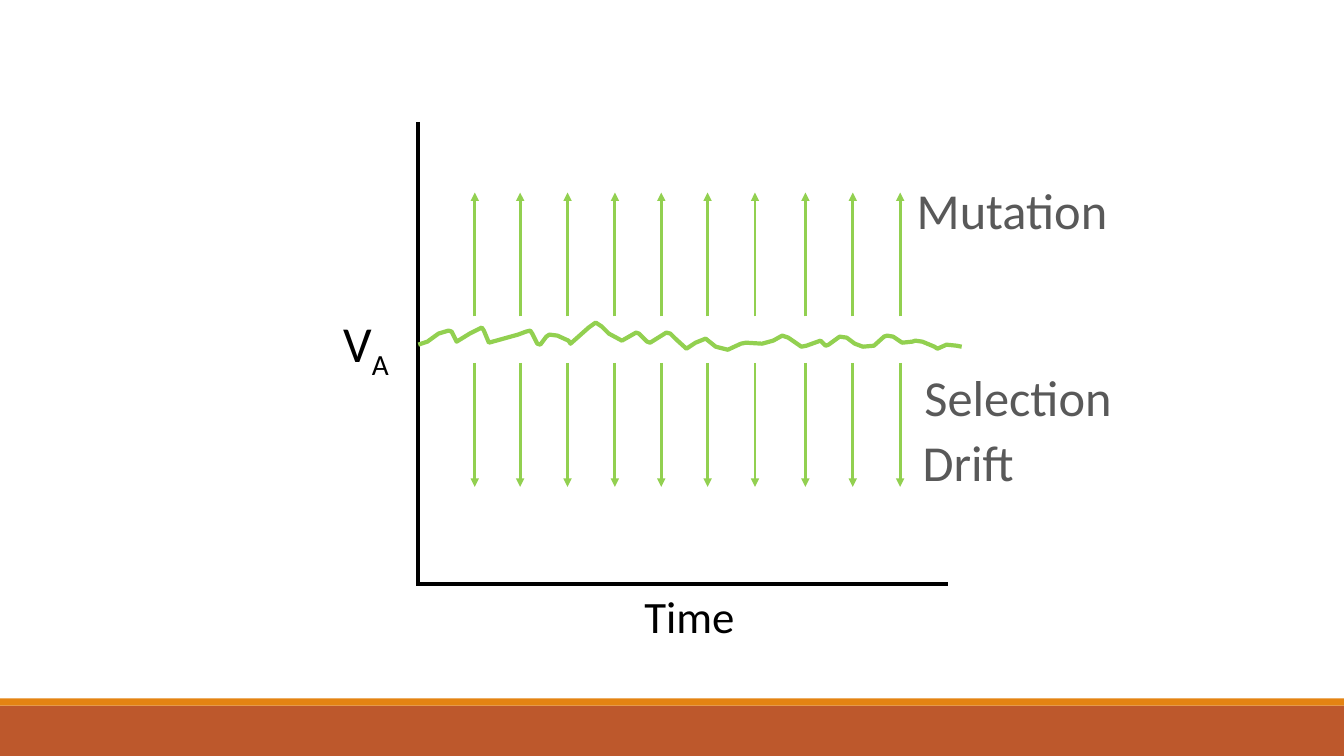
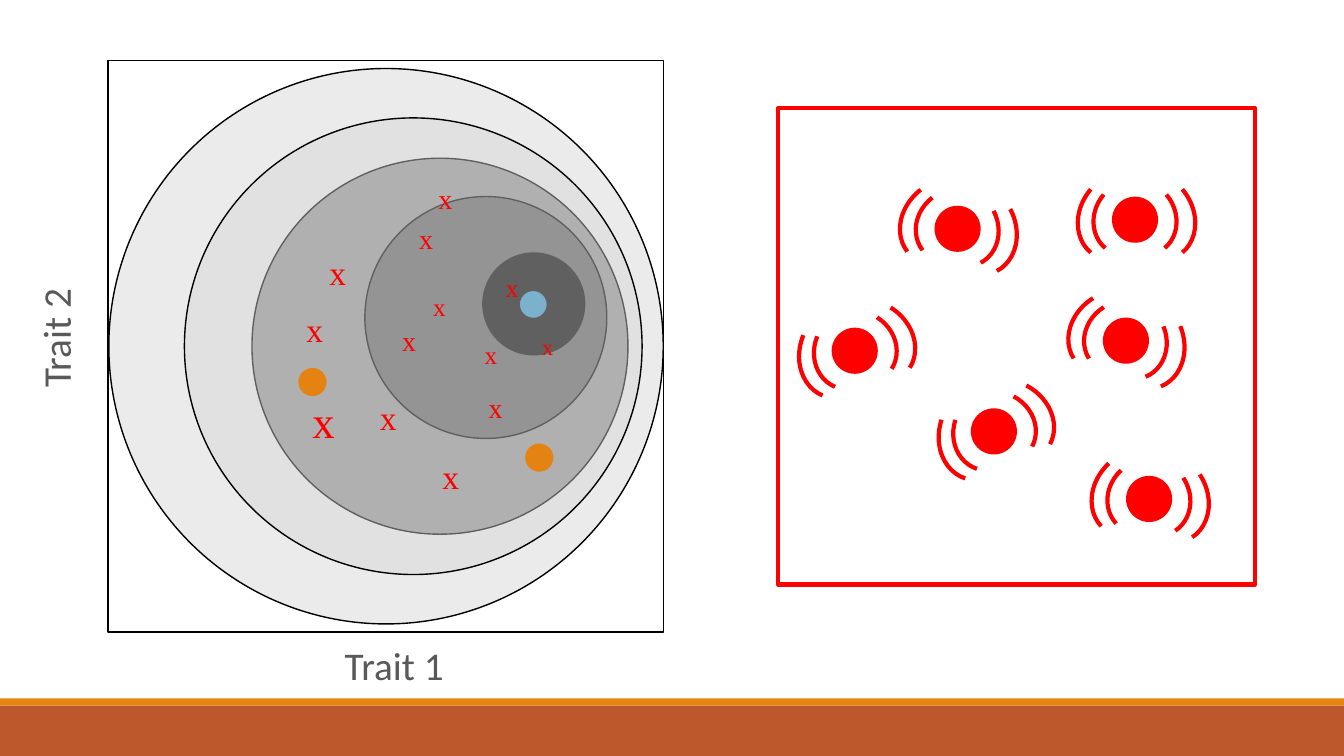
"""Build two slides on genetic variance and trait space, laid out on one-inch grid cells."""
from dataclasses import dataclass
from math import cos, radians, sin
from typing import NamedTuple, Optional

from lxml.etree import SubElement
from pptx import Presentation
from pptx.dml.color import RGBColor
from pptx.enum.shapes import MSO_CONNECTOR, MSO_SHAPE
from pptx.enum.text import MSO_AUTO_SIZE, PP_ALIGN
from pptx.oxml.ns import qn
from pptx.util import Inches, Pt

COLS, ROWS = 13.333, 7.5
CELL = Inches(1)
COLORS = {
    "band": "BD582C", "orange": "E48312", "text": "595959", "black": "000000",
    "white": "FFFFFF", "green": "92D050", "red": "FF0000", "blue": "3394C6",
    "pale": "EBEBEB", "veil": "D6D6D6", "mid": "929292", "dark": "5E5E5E",
}
ARROW_COLS = (4.71, 5.16, 5.63, 6.1, 6.56, 7.02, 7.49, 7.99, 8.46, 8.93)
WAVE = (
    (415, 342), (424, 339), (435, 331), (445, 328), (448, 329), (451, 335),
    (453, 339), (466, 331), (478, 325), (480, 328), (485, 340), (514, 332),
    (522, 329), (526, 328), (528, 331), (533, 341), (536, 342), (542, 334),
    (545, 332), (553, 333), (564, 338), (566, 341), (584, 325), (591, 320),
    (597, 324), (604, 331), (617, 338), (631, 330), (634, 331), (642, 339),
    (645, 340), (661, 330), (665, 331), (670, 336), (681, 346), (690, 340),
    (700, 336), (710, 344), (722, 347), (735, 341), (740, 340), (756, 341),
    (767, 338), (776, 333), (782, 335), (795, 344), (800, 343), (814, 338),
    (819, 343), (822, 342), (833, 334), (840, 335), (848, 341), (856, 344),
    (867, 343), (877, 334), (880, 333), (886, 334), (895, 340), (905, 339),
    (908, 338), (915, 339), (927, 344), (930, 346), (939, 342), (949, 343),
    (954, 344),
)


class Box(NamedTuple):
    """Left, top, width and height in grid cells."""
    x: float
    y: float
    w: float
    h: float


@dataclass
class Label:
    """A centred line of text."""
    text: str
    box: Box
    size: int
    color: str = "text"
    rot: float = 0
    sub: str = ""


@dataclass
class Ring:
    """A filled circle of the fitness landscape."""
    box: Box
    fill: str
    alpha: Optional[int] = None


class Mark(NamedTuple):
    """An x mark and its text size."""
    x: float
    y: float
    size: int


class Buzzer(NamedTuple):
    """Centre and tilt of a vibrating dot."""
    x: float
    y: float
    tilt: float


class Arc(NamedTuple):
    """An arc placed relative to the centre of its dot."""
    dx: float
    dy: float
    w: float
    h: float
    flip: bool


AXIS_LABELS = (
    Label("Mutation", Box(8.95, 1.73, 2.18, 0.71), 36),
    Label("Drift", Box(8.09, 4.23, 3.03, 0.71), 36),
    Label("Selection", Box(9.01, 3.58, 2.18, 0.71), 36),
    Label("V", Box(2.74, 3.05, 1.78, 0.71), 36, "black", sub="A"),
    Label("Time", Box(5.69, 5.79, 2.3, 0.64), 32, "black"),
)
TRAIT_LABELS = (
    Label("Trait 1", Box(2.89, 6.31, 2.04, 0.57), 28),
    Label("Trait 2", Box(-0.47, 3.07, 2.04, 0.57), 28, rot=270),
)
RINGS = (
    Ring(Box(1.08, 0.68, 5.5, 5.51), "pale"),
    Ring(Box(2.5, 1.57, 3.73, 3.73), "mid"),
    Ring(Box(3.62, 1.95, 2.4, 2.4), "dark"),
    Ring(Box(4.79, 2.51, 1.01, 1.01), "black"),
    Ring(Box(5.15, 2.88, 0.28, 0.28), "blue"),
    Ring(Box(1.83, 1.17, 4.54, 4.53), "veil", 45),
)
MARKS = (
    Mark(4.25, 1.75, 20), Mark(4.06, 2.15, 20), Mark(3.17, 2.45, 24),
    Mark(4.71, 3.32, 18), Mark(3.89, 3.16, 20), Mark(4.2, 2.84, 18),
    Mark(3.67, 3.89, 24), Mark(5.28, 3.26, 16), Mark(4.92, 2.65, 18),
    Mark(4.75, 3.82, 20), Mark(2.94, 3.02, 24), Mark(3, 3.86, 32),
    Mark(4.29, 4.47, 24),
)
BUZZERS = (
    Buzzer(11.26, 2.18, 0), Buzzer(9.5, 2.27, 12.2), Buzzer(8.48, 3.48, -17.6),
    Buzzer(9.86, 4.28, -22), Buzzer(11.17, 3.38, 17.8), Buzzer(11.4, 4.95, 6.9),
)
ARCS = (
    Arc(0.04, -0.02, 0.79, 0.71, False), Arc(-0.04, -0.02, 0.79, 0.71, True),
    Arc(0.16, -0.04, 0.96, 0.81, False), Arc(-0.13, -0.04, 0.96, 0.81, True),
)
ARC_TURN = 49.8
DOT = 0.44


def rgb(name):
    """Return the named colour."""
    return RGBColor.from_string(COLORS[name])


def emu(box: Box):
    """Convert grid cells to slide units."""
    return [round(v * CELL) for v in box]


def style(sp, fill: Optional[str] = None, line: Optional[str] = None,
          width: float = 1, alpha: Optional[int] = None):
    """Set the fill and outline of a shape and drop its shadow."""
    sp.shadow.inherit = False
    if fill:
        sp.fill.solid()
        sp.fill.fore_color.rgb = rgb(fill)
        if alpha:
            clr = sp._element.spPr.find(qn("a:solidFill"))[0]
            SubElement(clr, qn("a:alpha"), val=str(alpha * 1000))
    else:
        sp.fill.background()
    if line:
        sp.line.color.rgb = rgb(line)
        sp.line.width = Pt(width)
    else:
        sp.line.fill.background()
    return sp


def add_shape(slide, kind, box: Box, rot: float = 0, **fmt):
    """Add a styled preset shape."""
    sp = slide.shapes.add_shape(kind, *emu(box))
    sp.rotation = rot
    return style(sp, **fmt)


def add_text(slide, text: str, box: Box, *, size: int, color: str,
             font: str = "Calibri", align=PP_ALIGN.CENTER, wrap: bool = True,
             rot: float = 0, sub: str = ""):
    """Add a one-line text box with an optional subscript."""
    sp = slide.shapes.add_textbox(*emu(box))
    sp.rotation = rot
    tf = sp.text_frame
    tf.word_wrap = wrap
    tf.auto_size = MSO_AUTO_SIZE.SHAPE_TO_FIT_TEXT
    p = tf.paragraphs[0]
    p.alignment = align
    for part in filter(None, (text, sub)):
        r = p.add_run()
        r.text = part
        r.font.size, r.font.name = Pt(size), font
        r.font.color.rgb = rgb(color)
    if sub:
        r.font._element.set("baseline", "-25000")


def add_label(slide, label: Label):
    """Add a centred label."""
    add_text(slide, label.text, label.box, size=label.size, color=label.color,
             rot=label.rot, sub=label.sub)


def add_line(slide, x1: float, y1: float, x2: float, y2: float, color: str,
             width: float, arrow: bool = False):
    """Add a straight line, with an arrowhead at its end if asked."""
    cx = slide.shapes.add_connector(MSO_CONNECTOR.STRAIGHT, *emu((x1, y1, x2, y2)))
    cx.line.color.rgb = rgb(color)
    cx.line.width = Pt(width)
    if arrow:
        SubElement(cx.line._get_or_add_ln(), qn("a:tailEnd"), type="triangle")
    SubElement(cx._element.spPr, qn("a:effectLst"))


def add_buzzer(slide, b: Buzzer):
    """Add a dot with two arcs on either side, turned by its tilt."""
    add_shape(slide, MSO_SHAPE.OVAL, Box(b.x - DOT / 2, b.y - DOT / 2, DOT, DOT),
              fill="red", line="red", width=1.25)
    c, s = cos(radians(b.tilt)), sin(radians(b.tilt))
    for a in ARCS:
        x = b.x + a.dx * c - a.dy * s
        y = b.y + a.dx * s + a.dy * c
        turn = -ARC_TURN if a.flip else ARC_TURN
        sp = add_shape(slide, MSO_SHAPE.ARC, Box(x - a.w / 2, y - a.h / 2, a.w, a.h),
                       rot=(b.tilt + turn) % 360, line="red", width=3)
        if a.flip:
            sp._element.spPr.get_or_add_xfrm().set("flipH", "1")


def add_bands(prs, slide):
    """Put the two footer bands on the slide master."""
    for box, fill in ((Box(0, 7, COLS, 0.5), "band"), (Box(0, 6.93, COLS, 0.07), "orange")):
        sp = add_shape(slide, MSO_SHAPE.RECTANGLE, box, fill=fill)
        prs.slide_master.shapes._spTree.append(sp._element)


def draw_variance(slide):
    """Draw additive variance over time under opposing forces."""
    for label in AXIS_LABELS:
        add_label(slide, label)
    add_line(slide, 4.15, 1.21, 4.15, 5.79, "black", 3)
    add_line(slide, 9.4, 5.79, 4.13, 5.79, "black", 3)
    fb = slide.shapes.build_freeform(*WAVE[0], scale=CELL / 100)
    fb.add_line_segments(WAVE[1:], close=False)
    style(fb.convert_to_shape(), line="green", width=3)
    for y1, y2 in ((3.6, 4.83), (3.14, 1.91)):
        for x in ARROW_COLS:
            add_line(slide, x, y1, x, y2, "green", 2, arrow=True)


def draw_traits(slide):
    """Draw the trait landscape beside the box of vibrating dots."""
    for ring in RINGS:
        add_shape(slide, MSO_SHAPE.OVAL, ring.box, fill=ring.fill, alpha=ring.alpha,
                  line="black")
    for m in MARKS:
        box = Box(m.x, m.y, 0.2 + m.size / 144, 0.1 + m.size / 60)
        add_text(slide, "x", box, size=m.size, color="red", font="Times New Roman",
                 align=PP_ALIGN.LEFT, wrap=False)
    for label in TRAIT_LABELS:
        add_label(slide, label)
    add_shape(slide, MSO_SHAPE.RECTANGLE, Box(1.07, 0.6, 5.51, 5.67), line="black")
    add_shape(slide, MSO_SHAPE.RECTANGLE, Box(7.72, 1.07, 4.73, 4.73), fill="white",
              line="red", width=3)
    for b in BUZZERS:
        add_buzzer(slide, b)
    for x, y in ((5.21, 4.4), (2.96, 3.65)):
        add_shape(slide, MSO_SHAPE.OVAL, Box(x, y, 0.28, 0.28), fill="orange")


def main():
    """Build and save the presentation."""
    prs = Presentation()
    prs.slide_width, prs.slide_height = Inches(COLS), Inches(ROWS)
    blank = prs.slide_layouts[6]
    first, second = (prs.slides.add_slide(blank) for _ in range(2))
    add_bands(prs, first)
    draw_variance(first)
    draw_traits(second)
    prs.save("out.pptx")


if __name__ == "__main__":
    main()
